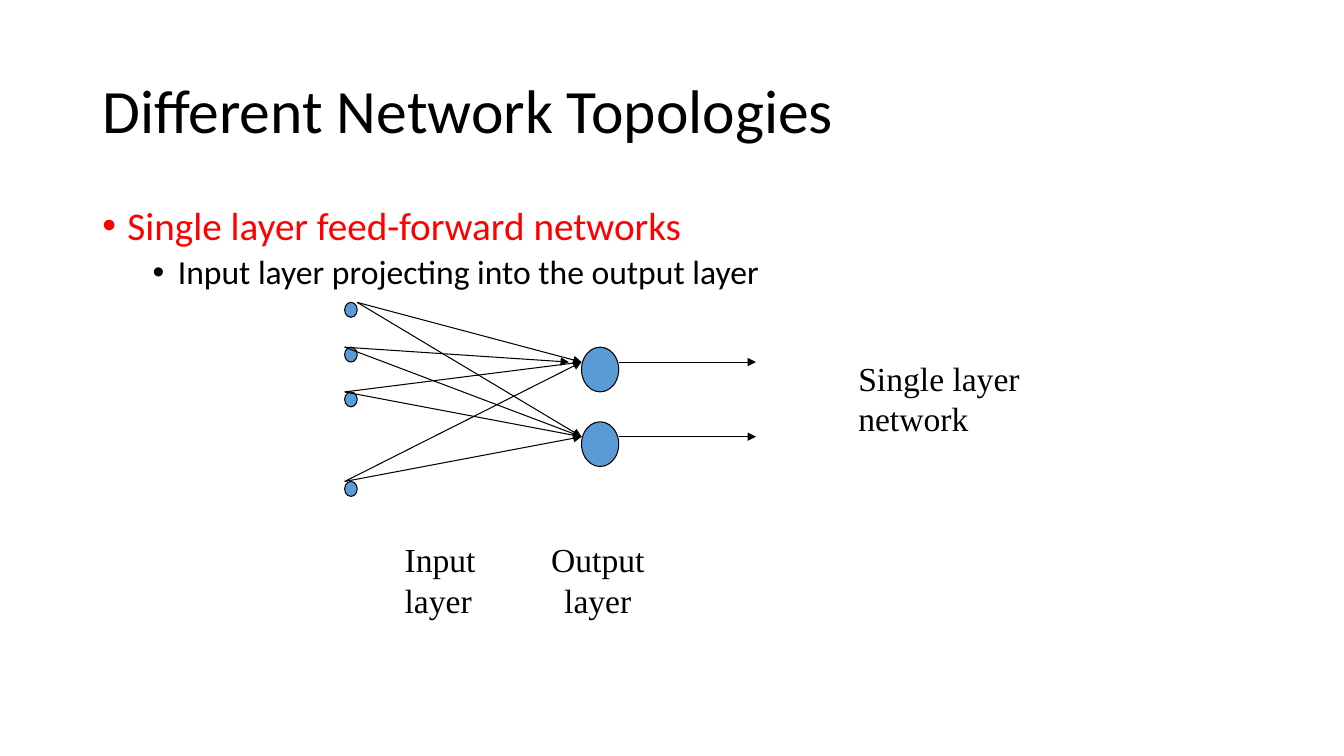
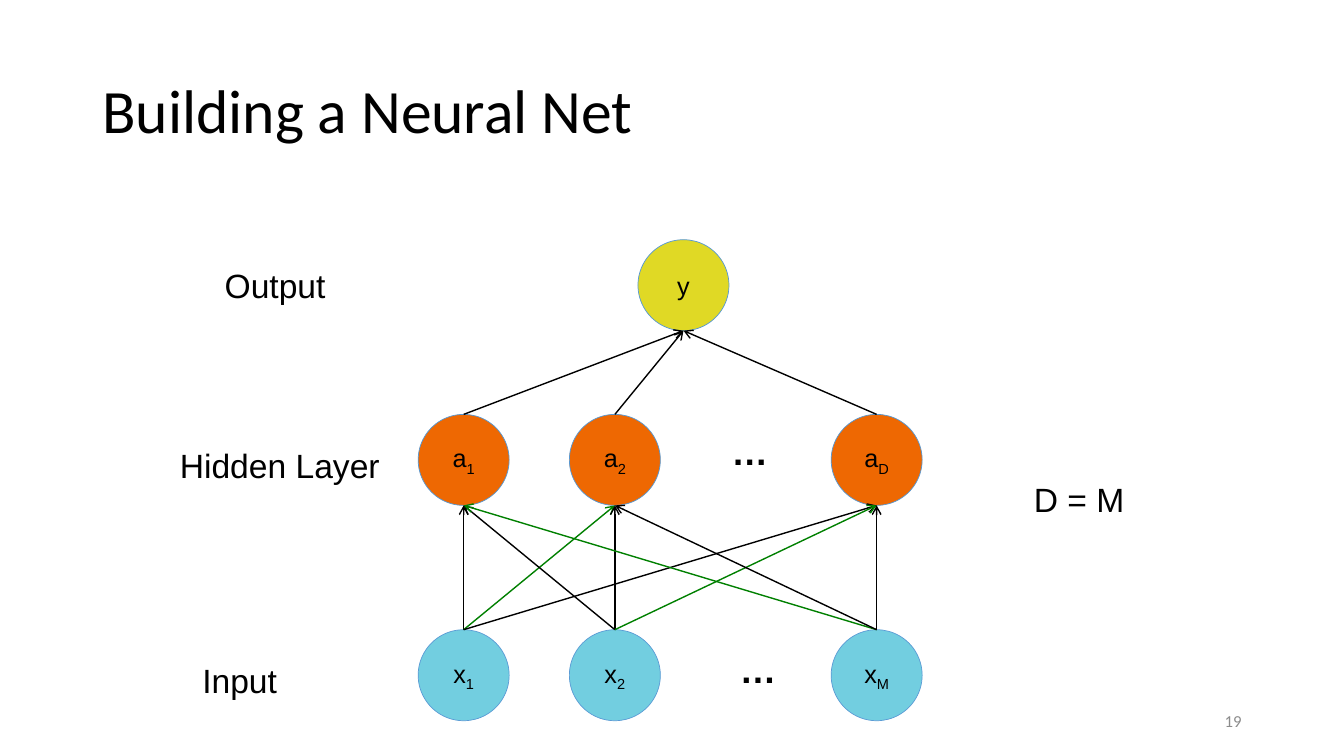
from lxml.etree import SubElement
from pptx import Presentation
from pptx.dml.color import RGBColor
from pptx.enum.shapes import MSO_CONNECTOR, MSO_SHAPE
from pptx.enum.text import MSO_ANCHOR, PP_ALIGN
from pptx.oxml.ns import qn
from pptx.util import Pt

BLACK = RGBColor(0x00, 0x00, 0x00)
WHITE = RGBColor(0xFF, 0xFF, 0xFF)
RED = RGBColor(0xFF, 0x00, 0x00)
GREEN = RGBColor(0x00, 0x80, 0x00)
GREY = RGBColor(0x8C, 0x8C, 0x8C)
BLUE = RGBColor(0x5B, 0x9B, 0xD5)
EDGE = RGBColor(0x56, 0x98, 0xD3)
CYAN = RGBColor(0x72, 0xCE, 0xE0)
ORANGE = RGBColor(0xEE, 0x68, 0x02)
YELLOW = RGBColor(0xE0, 0xD9, 0x25)

TITLE = {"name": "Calibri", "size": Pt(44)}
HEAD = {"name": "Calibri", "size": Pt(28)}
POINT = {"name": "Calibri", "size": Pt(24)}
FOOT = {"name": "Calibri", "size": Pt(12)}
SERIF = {"name": "Times New Roman", "size": Pt(24)}
LABEL = {"name": "Arial", "size": Pt(24)}
NODE = {"name": "Arial", "size": Pt(18)}
DOTS = {"name": "Arial", "size": Pt(26), "bold": True}

LEFT, MID, RIGHT = PP_ALIGN.LEFT, PP_ALIGN.CENTER, PP_ALIGN.RIGHT


def style(font, form, color=BLACK):
    for key, value in form.items():
        setattr(font, key, value)
    font.color.rgb = color


def put_text(slide, box, lines, form, align=LEFT, anchor=MSO_ANCHOR.TOP, color=BLACK, lead=None):
    frame = slide.shapes.add_textbox(*map(Pt, box)).text_frame
    frame.word_wrap = True
    frame.vertical_anchor = anchor
    frame.text = "\n".join(lines)
    for para in frame.paragraphs:
        para.alignment = align
        para.line_spacing = lead
        style(para.font, form, color)


def put_title(slide, text):
    put_text(slide, (66, 29, 828, 104), [text], TITLE, anchor=MSO_ANCHOR.MIDDLE, lead=0.9)


def put_list(slide, box, items):
    shape = slide.shapes.add_textbox(*map(Pt, box))
    shape.fill.solid()
    shape.fill.fore_color.rgb = WHITE
    frame = shape.text_frame
    frame.word_wrap = True
    for num, (text, level, form, color) in enumerate(items):
        para = frame.add_paragraph() if num else frame.paragraphs[0]
        para.text = text
        para.level = level
        para.line_spacing = 0.9
        if num:
            para.space_before = Pt(5)
        props = para._p.get_or_add_pPr()
        props.set("marL", str(Pt(18 + 36 * level)))
        props.set("indent", str(Pt(-18)))
        SubElement(props, qn("a:buFont")).set("typeface", "Arial")
        SubElement(props, qn("a:buChar")).set("char", "•")
        style(para.font, form, color)


def put_round(shapes, kind, box, fill, edge, width):
    shape = shapes.add_shape(kind, *map(Pt, box))
    shape.shadow.inherit = False
    shape.fill.solid()
    shape.fill.fore_color.rgb = fill
    shape.line.color.rgb = edge
    shape.line.width = Pt(width)
    return shape


def put_arrow(shapes, start, end, tip, width, color=BLACK):
    line = shapes.add_connector(MSO_CONNECTOR.STRAIGHT, *map(Pt, (*start, *end)))
    line.line.color.rgb = color
    line.line.width = Pt(width)
    SubElement(line.line._get_or_add_ln(), qn("a:tailEnd")).set("type", tip)
    SubElement(line._element.spPr, qn("a:effectLst"))
    return line


def put_layers(slide, box):
    left, top, wide, high = box
    unit = high / 13
    small, large = 9, 26.6
    out = left + 169.2
    ins = [top + unit * row for row in (0, 3, 6, 12)]
    outs = [top + unit * row for row in (3, 8)]
    shapes = slide.shapes.add_group_shape().shapes
    for y in outs:
        put_round(shapes, MSO_SHAPE.OVAL, (out, y, large, 3 * unit), BLUE, BLACK, 0.75)
    for y in ins:
        put_round(shapes, MSO_SHAPE.OVAL, (left, y, small, unit), BLUE, BLACK, 0.75)
    for row, y in enumerate(ins):
        start = left + small if row == 0 else left
        for col, goal in enumerate(outs):
            end = out - small if (row, col) == (1, 0) else out
            put_arrow(shapes, (start, y), (end, goal + unit), "triangle", 0.75)
    for y in outs:
        put_arrow(shapes, (out + large, y + unit), (left + wide, y + unit), "triangle", 0.75)


def put_node(slide, x, y, size, name, fill, edge):
    shape = put_round(slide.shapes, MSO_SHAPE.FLOWCHART_CONNECTOR, (x, y, size, size), fill, edge, 0.5)
    frame = shape.text_frame
    frame.vertical_anchor = MSO_ANCHOR.MIDDLE
    para = frame.paragraphs[0]
    para.alignment = MID
    for num, text in enumerate(name):
        run = para.add_run()
        run.text = text
        style(run.font, NODE)
        if num:
            run._r.get_or_add_rPr().set("baseline", "-25000")
    return shape


def put_net(slide, box):
    left, top, wide, high = box
    size = 65
    cols = [left, left + 108, left + wide - size]
    mid, low, peak = top + 124.8, top + high - size, left + 157
    ins = [put_node(slide, x, low, size, "x" + sub, CYAN, BLUE) for x, sub in zip(cols, "12M")]
    hids = [put_node(slide, x, mid, size, "a" + sub, ORANGE, EDGE) for x, sub in zip(cols, "12D")]
    put_node(slide, peak, top, size, "y", YELLOW, EDGE)
    for x, y in ((left + 216, mid + 6.6), (left + 221.8, low + 8.6)):
        put_text(slide, (x, y, 42, 39), ["…"], DOTS, MID, MSO_ANCHOR.MIDDLE)
    half = size / 2
    for row, start in enumerate(cols):
        for col, goal in enumerate(cols):
            color = GREEN if col == (row + 1) % 3 else BLACK
            line = put_arrow(slide.shapes, (start + half, low), (goal + half, mid + size), "arrow", 1, color)
            line.begin_connect(ins[row], 0)
        line = put_arrow(slide.shapes, (start + half, mid), (peak + half, top + size), "arrow", 1)
        line.begin_connect(hids[row], 0)


def layer_slide(slide):
    put_title(slide, "Different Network Topologies")
    put_list(slide, (66, 144, 828, 343), [
        ("Single layer feed-forward networks", 0, HEAD, RED),
        ("Input layer projecting into the output layer", 1, POINT, BLACK),
    ])
    put_layers(slide, (246.2, 216, 293.8, 138.6))
    put_text(slide, (282, 381.6, 80, 65.5), ["Input", "layer"], SERIF)
    put_text(slide, (377, 381.6, 100, 65.5), ["Output", "layer"], SERIF, MID)
    put_text(slide, (606, 252, 137, 65.5), ["Single layer", "network"], SERIF)


def net_slide(slide):
    put_title(slide, "Building a Neural Net")
    put_net(slide, (298.7, 171.2, 360, 343.6))
    for text, box, align in (
        ("Output", (153.4, 185.8, 102, 36), LEFT),
        ("Input", (120.2, 468, 102, 36), MID),
        ("Hidden Layer", (118.8, 314, 162, 36), MID),
        ("D = M", (689.8, 338.4, 162, 36), MID),
    ):
        put_text(slide, box, [text], LABEL, align)
    put_text(slide, (678, 500.4, 216, 28.8), ["19"], FOOT, RIGHT, MSO_ANCHOR.MIDDLE, GREY)


def main():
    deck = Presentation()
    deck.slide_width, deck.slide_height = Pt(960), Pt(540)
    for build in (layer_slide, net_slide):
        build(deck.slides.add_slide(deck.slide_layouts[6]))
    deck.save("out.pptx")


if __name__ == "__main__":
    main()
